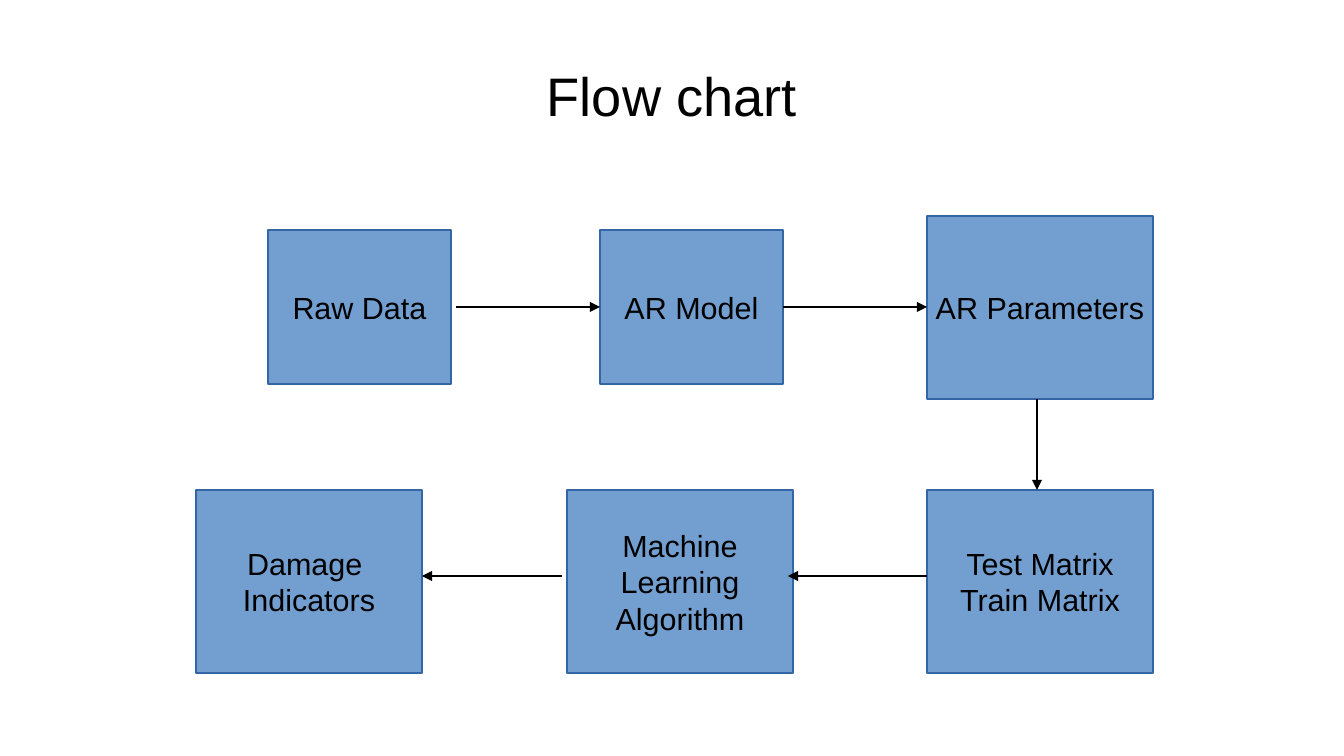
from pptx import Presentation
from pptx.dml.color import RGBColor
from pptx.enum.shapes import MSO_CONNECTOR, MSO_SHAPE
from pptx.enum.text import MSO_ANCHOR, MSO_AUTO_SIZE, PP_ALIGN
from pptx.oxml.ns import qn
from pptx.util import Emu, Pt
from lxml import etree

RECTANGLE = MSO_SHAPE.RECTANGLE
STRAIGHT = MSO_CONNECTOR.STRAIGHT
MIDDLE = MSO_ANCHOR.MIDDLE
CENTER = PP_ALIGN.CENTER
NO_AUTOFIT = MSO_AUTO_SIZE.NONE

EMU_PER_PIXEL = 914400 / 122
TITLE_ONLY_LAYOUT = 5
FONT = "Arial"
BLACK, BOX_FILL, BOX_LINE = "000000", "729FCF", "3465A4"
LINE_WIDTH = Pt(0.75)
SMALL_BOX = (183, 154)
LARGE_BOX = (226, 183)


def px(pixels):
    """Turn pixels into EMU."""
    return Emu(round(pixels * EMU_PER_PIXEL))


def color(hex_string):
    """Turn a hex string into a colour."""
    return RGBColor.from_string(hex_string)


def write_lines(text_frame, lines, size):
    """Write centred paragraphs, one run each."""
    text_frame.vertical_anchor = MIDDLE
    for index, line in enumerate(lines):
        paragraph = text_frame.add_paragraph() if index else text_frame.paragraphs[0]
        paragraph.alignment = CENTER
        run = paragraph.add_run()
        run.text = line
        run.font.name = FONT
        run.font.size = Pt(size)
        run.font.color.rgb = color(BLACK)


def add_title(slide, box, text):
    """Place the title placeholder in the given box."""
    title = slide.shapes.title
    title.left, title.top, title.width, title.height = map(px, box)
    frame = title.text_frame
    frame.auto_size = NO_AUTOFIT
    frame.margin_left = frame.margin_right = frame.margin_top = frame.margin_bottom = 0
    write_lines(frame, [text], 32)


def add_step(slide, box, lines):
    """Draw one labelled step of the flow in the given box."""
    step = slide.shapes.add_shape(RECTANGLE, *map(px, box))
    step.shadow.inherit = False
    step.fill.solid()
    step.fill.fore_color.rgb = color(BOX_FILL)
    step.line.color.rgb = color(BOX_LINE)
    step.line.width = LINE_WIDTH
    step.text_frame.word_wrap = False
    write_lines(step.text_frame, lines, 18)


def add_arrow(slide, start, end):
    """Draw a straight arrow between two points."""
    arrow = slide.shapes.add_connector(STRAIGHT, *map(px, (*start, *end)))
    arrow.line.color.rgb = color(BLACK)
    arrow.line.width = LINE_WIDTH
    etree.SubElement(arrow.line._get_or_add_ln(), qn("a:tailEnd"), type="triangle")
    etree.SubElement(arrow._element.spPr, qn("a:effectLst"))


def add_flow_row(slide, box, steps, arrow_top, arrows):
    """Place steps, centred vertically in the box, and the arrows between them."""
    left, top, _, height = box
    for offset, (step_width, step_height), lines in steps:
        step_top = top + (height - step_height) // 2
        add_step(slide, (left + offset, step_top, step_width, step_height), lines)
    for start, end in arrows:
        add_arrow(slide, (left + start, top + arrow_top), (left + end, top + arrow_top))


def add_flow_chart(slide, box):
    """Place both rows of the flow in the box and join them with an arrow."""
    left, top, width, height = box
    row_height = LARGE_BOX[1]
    lower_top = top + height - row_height
    add_flow_row(
        slide, (left, top, width, row_height),
        [(72, SMALL_BOX, ["Raw Data"]),
         (404, SMALL_BOX, ["AR Model"]),
         (731, LARGE_BOX, ["AR Parameters"])],
        91, [(260, 404), (587, 731)])
    add_flow_row(
        slide, (left, lower_top, width, row_height),
        [(0, LARGE_BOX, ["Damage ", "Indicators"]),
         (371, LARGE_BOX, ["Machine", "Learning", "Algorithm"]),
         (731, LARGE_BOX, ["Test Matrix", "Train Matrix"])],
        86, [(731, 592), (366, 226)])
    add_arrow(slide, (left + 841, top + row_height), (left + 841, lower_top))


def main():
    """Build and save the slide."""
    presentation = Presentation()
    presentation.slide_width, presentation.slide_height = px(1344), px(756)
    slide = presentation.slides.add_slide(presentation.slide_layouts[TITLE_ONLY_LAYOUT])
    add_title(slide, (67, 31, 1210, 127), "Flow chart")
    add_flow_chart(slide, (196, 216, 957, 457))
    presentation.save("out.pptx")


main()
